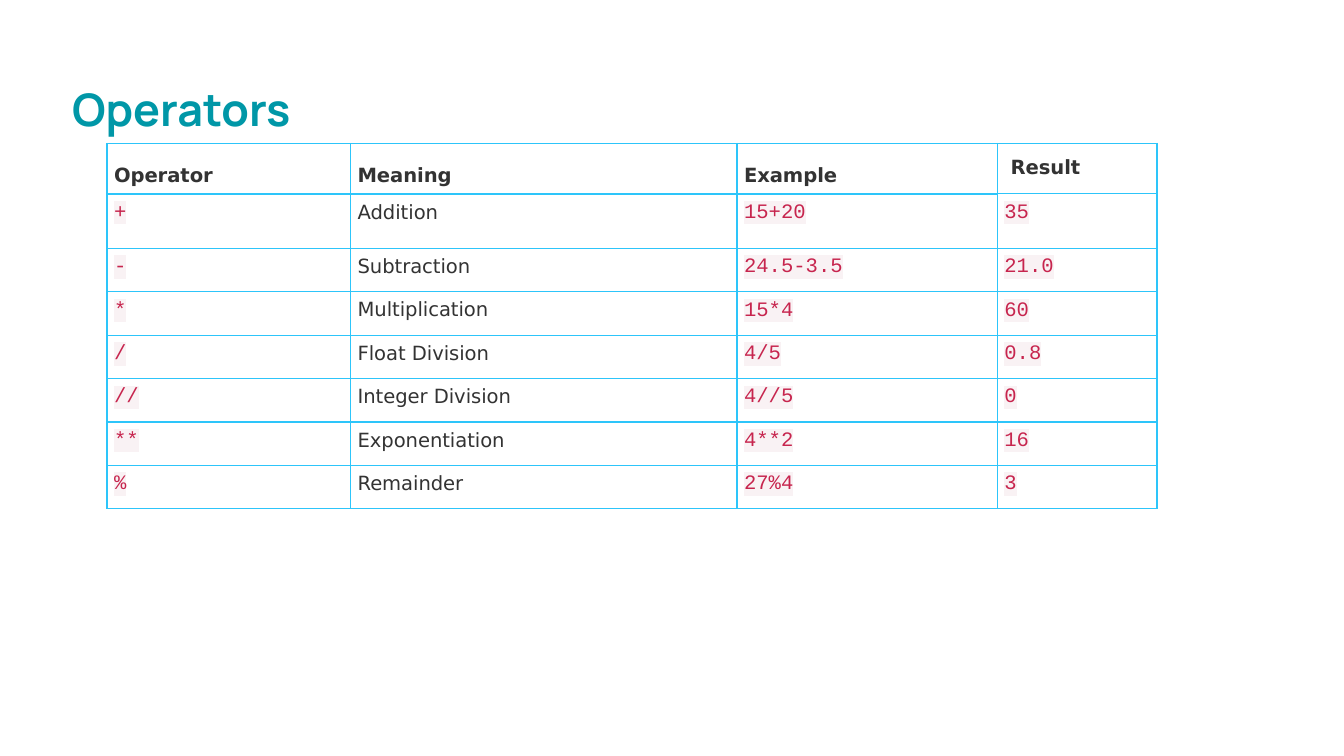
from lxml import etree
from pptx import Presentation
from pptx.dml.color import RGBColor
from pptx.enum.text import MSO_ANCHOR, MSO_AUTO_SIZE
from pptx.oxml.ns import qn
from pptx.util import Emu, Pt

TOP = MSO_ANCHOR.TOP
BOTTOM = MSO_ANCHOR.BOTTOM
GROW = MSO_AUTO_SIZE.SHAPE_TO_FIT_TEXT
BLANK = 6
SCALE = 914400 / 192

TITLE = {"font": "Manrope", "size": 24, "hue": "0097A7", "bold": True}
HEADER = {"font": "DejaVu Sans", "size": 10.5, "hue": "333333", "bold": True}
BODY = {"font": "DejaVu Sans", "size": 10.5, "hue": "333333"}
CODE = {"font": "Courier New", "size": 11, "hue": "C7254E", "highlight": "F9F2F4"}

ROWS = [
    ("Operator", "Meaning", "Example", "Result"),
    ("+", "Addition", "15+20", "35"),
    ("-", "Subtraction", "24.5-3.5", "21.0"),
    ("*", "Multiplication", "15*4", "60"),
    ("/", "Float Division", "4/5", "0.8"),
    ("//", "Integer Division", "4//5", "0"),
    ("**", "Exponentiation", "4**2", "16"),
    ("%", "Remainder", "27%4", "3"),
]
COLUMN_WIDTHS = [348, 552, 372, 228]
ROW_HEIGHTS = [72, 78] + [62] * 6
RESULT_COLUMN = 3


def px(value):
    return Emu(round(value * SCALE))


def color(value):
    return RGBColor.from_string(value)


class Deck:
    border = "2DC5FA"
    paper = "FFFFFF"

    def __init__(self, width, height):
        self.deck = Presentation()
        self.deck.slide_width = px(width)
        self.deck.slide_height = px(height)
        self.page = self.deck.slides.add_slide(self.deck.slide_layouts[BLANK])

    def span(self, para, text, font, size, hue, bold=False, highlight=None):
        span = para.add_run()
        span.text = text
        span.font.size = Pt(size)
        span.font.bold = bold
        span.font.color.rgb = color(hue)
        if highlight:
            mark = etree.SubElement(span.font._element, qn("a:highlight"))
            etree.SubElement(mark, qn("a:srgbClr"), val=highlight)
        span.font.name = font

    def title(self, text, left, top, width, height):
        box = self.page.shapes.add_textbox(px(left), px(top), px(width), px(height))
        frame = box.text_frame
        frame.word_wrap = True
        frame.auto_size = GROW
        frame.margin_left = frame.margin_right = px(19)
        frame.margin_top = frame.margin_bottom = px(19)
        para = frame.paragraphs[0]
        para.line_spacing = 1.3
        self.span(para, text, **TITLE)

    def edge(self, cell, side, points):
        line = etree.SubElement(
            cell._tc.get_or_add_tcPr(), qn(f"a:ln{side}"), w=str(Pt(points)))
        fill = etree.SubElement(line, qn("a:solidFill"))
        etree.SubElement(fill, qn("a:srgbClr"), val=self.border)

    def cell(self, cell, text, style, margin, anchor, top_line, bottom_line):
        for side, points in zip("LRTB", (0.75, 0.75, top_line, bottom_line)):
            self.edge(cell, side, points)
        cell.fill.solid()
        cell.fill.fore_color.rgb = color(self.paper)
        cell.margin_left = cell.margin_right = px(margin)
        cell.margin_top = cell.margin_bottom = px(margin)
        cell.vertical_anchor = anchor
        self.span(cell.text_frame.paragraphs[0], text, **style)

    def table(self, rows, left, top, widths, heights):
        frame = self.page.shapes.add_table(
            len(rows), len(widths), px(left), px(top), px(sum(widths)), px(sum(heights)))
        table = frame.table
        table.first_row = table.horz_banding = False
        for column, width in zip(table.columns, widths):
            column.width = px(width)
        for row, height in zip(table.rows, heights):
            row.height = px(height)
        for r, texts in enumerate(rows):
            for c, text in enumerate(texts):
                is_header = r == 0
                is_result = c == RESULT_COLUMN
                style = HEADER if is_header else BODY if c == 1 else CODE
                margin = 19 if is_header and is_result else 10
                anchor = BOTTOM if is_header and not is_result else TOP
                top_line = 1.5 if r == 1 and not is_result else 0.75
                bottom_line = 1.5 if is_header and not is_result else 0.75
                self.cell(table.cell(r, c), text, style, margin, anchor,
                          top_line, bottom_line)

    def save(self):
        self.deck.save("out.pptx")


def main():
    deck = Deck(1920, 1080)
    deck.title("Operators", 84, 75, 1743, 117)
    deck.table(ROWS, 153, 205, COLUMN_WIDTHS, ROW_HEIGHTS)
    deck.save()


if __name__ == "__main__":
    main()
